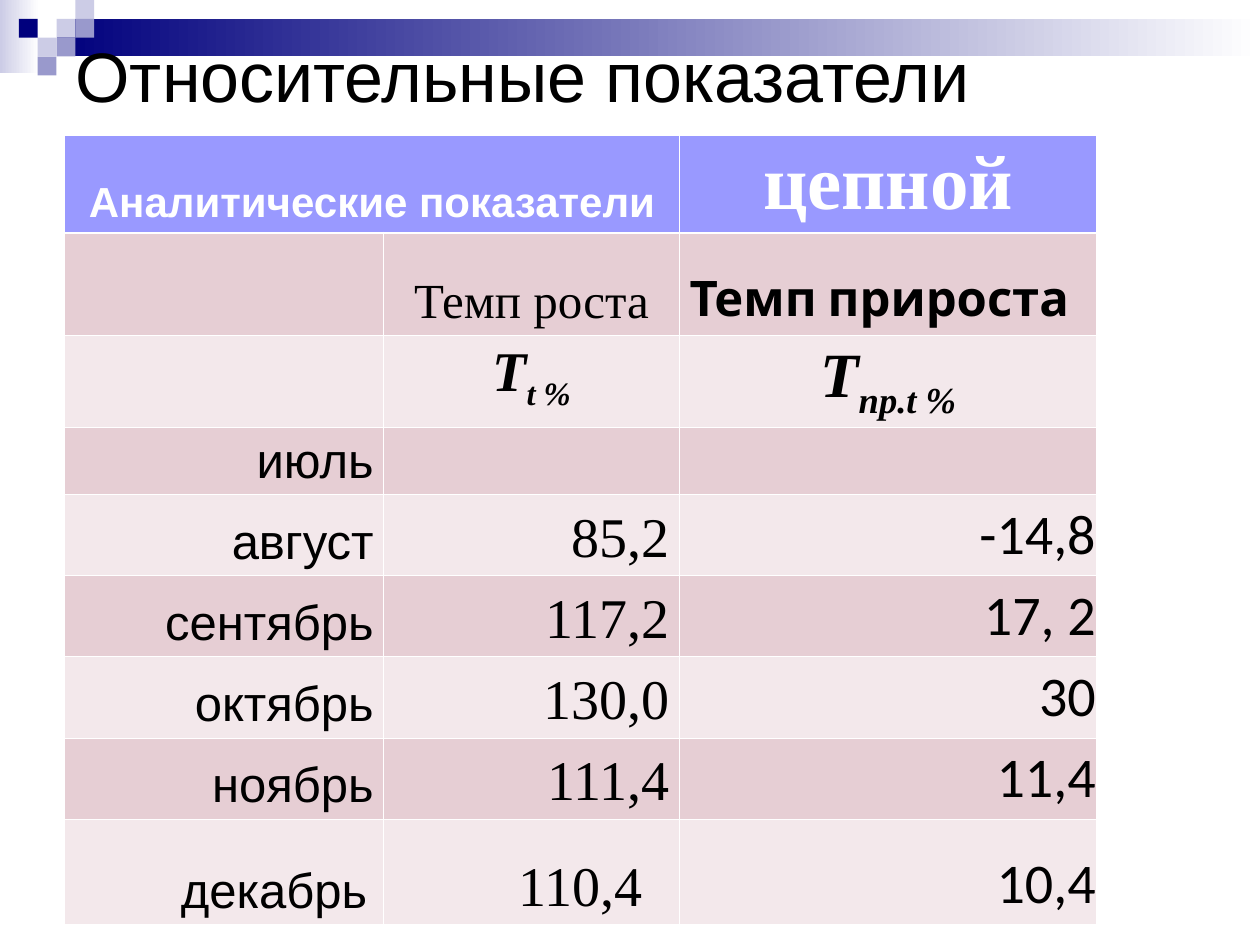
from dataclasses import dataclass
from typing import Optional

from lxml import etree
from pptx import Presentation
from pptx import util as u
from pptx.dml.color import RGBColor
from pptx.enum import shapes, text
from pptx.oxml import ns

BLACK = RGBColor(0x00, 0x00, 0x00)
WHITE = RGBColor(0xFF, 0xFF, 0xFF)
NAVY = RGBColor(0x00, 0x00, 0x7D)
LAVENDER = RGBColor(0xCC, 0xCC, 0xE6)
VIOLET = RGBColor(0x99, 0x99, 0xCC)
HEADER = RGBColor(0x99, 0x99, 0xFF)
ROSE = RGBColor(0xE6, 0xCE, 0xD4)
PALE_ROSE = RGBColor(0xF3, 0xE8, 0xEB)

SERIF = "Times New Roman"
LEFT, CENTER, RIGHT = text.PP_ALIGN.LEFT, text.PP_ALIGN.CENTER, text.PP_ALIGN.RIGHT
TOP, MIDDLE, BOTTOM = text.MSO_ANCHOR.TOP, text.MSO_ANCHOR.MIDDLE, text.MSO_ANCHOR.BOTTOM

GRID = 0.38
COLUMN_WIDTHS = [6.43, 5.97, 8.41]
ROW_HEIGHTS = [1.85, 2.06, 1.73, 1.19, 1.37, 1.37, 1.37, 1.6, 2.13]
WIDE, NARROW, TIGHT = 0.2, 0.1, 0.02


@dataclass
class Rectangle:
    left: float
    top: float
    width: float
    height: float
    color: RGBColor
    fades: bool = False


@dataclass
class CellText:
    row: int
    column: int
    words: str
    size: int
    font: str
    align: text.PP_ALIGN = RIGHT
    color: RGBColor = BLACK
    bold: bool = False
    italic: bool = False
    anchor: text.MSO_ANCHOR = BOTTOM
    side: float = WIDE
    right: Optional[float] = None
    subscript: str = ""


def square(column: int, row: int, color: RGBColor) -> Rectangle:
    return Rectangle(column * GRID, row * GRID, GRID, GRID, color)


DECORATION = [
    Rectangle(0, 0, 0.79, 1.47, LAVENDER, True),
    Rectangle(3 * GRID, GRID, 24.26, 2 * GRID, NAVY, True),
    square(3, 1, LAVENDER),
    square(4, 0, LAVENDER),
    square(4, 1, VIOLET),
    square(2, 2, LAVENDER),
    square(1, 1, NAVY),
    square(3, 2, VIOLET),
    square(2, 3, VIOLET),
]

HEADINGS = [
    CellText(0, 0, "Аналитические показатели", 24, "Arial", CENTER, WHITE, True),
    CellText(0, 2, "цепной", 44, SERIF, CENTER, WHITE, True),
    CellText(1, 1, "Темп роста", 28, SERIF, CENTER),
    CellText(1, 2, "Темп прироста", 28, "Cabin", LEFT, bold=True),
    CellText(2, 1, "Т", 32, SERIF, CENTER, BLACK, True, True, TOP, NARROW, subscript="t %"),
    CellText(2, 2, "Т", 36, SERIF, CENTER, BLACK, True, True, TOP, NARROW, subscript="пр.t %"),
]

MONTHS = [
    ("июль", "", ""),
    ("август", "85,2", "-14,8"),
    ("сентябрь", "117,2", "17, 2"),
    ("октябрь", "130,0", "30"),
    ("ноябрь", "111,4", "11,4"),
    ("декабрь", "110,4", "10,4"),
]


def apply(target, values: dict) -> None:
    for name, value in values.items():
        setattr(target, name, value)


def draw_rectangle(slide, item: Rectangle) -> None:
    shape = slide.shapes.add_shape(
        shapes.MSO_SHAPE.RECTANGLE,
        *(u.Cm(length) for length in (item.left, item.top, item.width, item.height)),
    )
    shape.shadow.inherit = False
    shape.line.fill.background()
    if item.fades:
        shape.fill.gradient()
        shape.fill.gradient_angle = 0
        for stop, color, position in zip(shape.fill.gradient_stops, (item.color, WHITE), (0, 1)):
            stop.color.rgb = color
            stop.position = position
    else:
        shape.fill.solid()
        shape.fill.fore_color.rgb = item.color


def set_borders(cell, widths: dict) -> None:
    properties = cell._tc.get_or_add_tcPr()
    for index, (side, points) in enumerate(widths.items()):
        line = etree.Element(ns.qn(f"a:{side}"), w=str(u.Pt(points)))
        fill = etree.SubElement(line, ns.qn("a:solidFill"))
        etree.SubElement(fill, ns.qn("a:srgbClr"), val=str(WHITE))
        properties.insert(index, line)


def write_cell(table, item: CellText) -> None:
    cell = table.cell(item.row, item.column)
    right = item.side if item.right is None else item.right
    apply(cell, {
        "vertical_anchor": item.anchor,
        "margin_left": u.Cm(item.side),
        "margin_right": u.Cm(right),
    })
    paragraph = cell.text_frame.paragraphs[0]
    paragraph.alignment = item.align
    for words, baseline in ((item.words, None), (item.subscript, "-25000")):
        if not words:
            continue
        run = paragraph.add_run()
        run.text = words
        apply(run.font, {
            "name": item.font,
            "size": u.Pt(item.size),
            "bold": item.bold,
            "italic": item.italic,
        })
        run.font.color.rgb = item.color
        if baseline:
            run.font._element.set("baseline", baseline)


def month_cells() -> list[CellText]:
    cells = []
    for row, (month, growth, increase) in enumerate(MONTHS, start=3):
        last = month == MONTHS[-1][0]
        cells.append(CellText(row, 0, month, 28, "Arial", right=0.33 if last else None))
        if growth:
            cells.append(CellText(row, 1, growth, 32, SERIF, right=0.74 if last else None))
            cells.append(CellText(row, 2, increase, 32, "Calibri", side=TIGHT))
    return cells


def draw_table(slide) -> None:
    table = slide.shapes.add_table(
        len(ROW_HEIGHTS), len(COLUMN_WIDTHS), u.Cm(1.3), u.Cm(2.72),
        u.Cm(sum(COLUMN_WIDTHS)), u.Cm(sum(ROW_HEIGHTS)),
    ).table
    for column, width in zip(table.columns, COLUMN_WIDTHS):
        column.width = u.Cm(width)
    for index, (row, height) in enumerate(zip(table.rows, ROW_HEIGHTS)):
        row.height = u.Cm(height)
        color = HEADER if index == 0 else (ROSE if index % 2 else PALE_ROSE)
        for cell in row.cells:
            cell.fill.solid()
            cell.fill.fore_color.rgb = color
            set_borders(cell, {
                "lnL": 0.45,
                "lnR": 0.45,
                "lnT": 1.47 if index == 1 else 0.45,
                "lnB": 1.47 if index == 0 else 0.45,
            })
    table.cell(0, 0).merge(table.cell(0, 1))
    for item in HEADINGS + month_cells():
        write_cell(table, item)


def write_title(slide) -> None:
    title = slide.shapes.title
    apply(title, {
        "left": u.Cm(1.27), "top": u.Cm(0.89), "width": u.Cm(20.12), "height": u.Cm(1.24),
    })
    apply(title.text_frame, {
        "text": "Относительные показатели",
        "word_wrap": True,
        "auto_size": text.MSO_AUTO_SIZE.NONE,
        "vertical_anchor": MIDDLE,
    })
    paragraph = title.text_frame.paragraphs[0]
    paragraph.alignment = LEFT
    apply(paragraph.runs[0].font, {"name": "Arial", "size": u.Pt(40)})
    paragraph.runs[0].font.color.rgb = BLACK
    title._element.getparent().append(title._element)


def main() -> None:
    presentation = Presentation()
    apply(presentation, {"slide_width": u.Cm(25.4), "slide_height": u.Cm(19.05)})
    slide = presentation.slides.add_slide(presentation.slide_layouts[5])
    for item in DECORATION:
        draw_rectangle(slide, item)
    write_title(slide)
    draw_table(slide)
    presentation.save("out.pptx")


if __name__ == "__main__":
    main()
